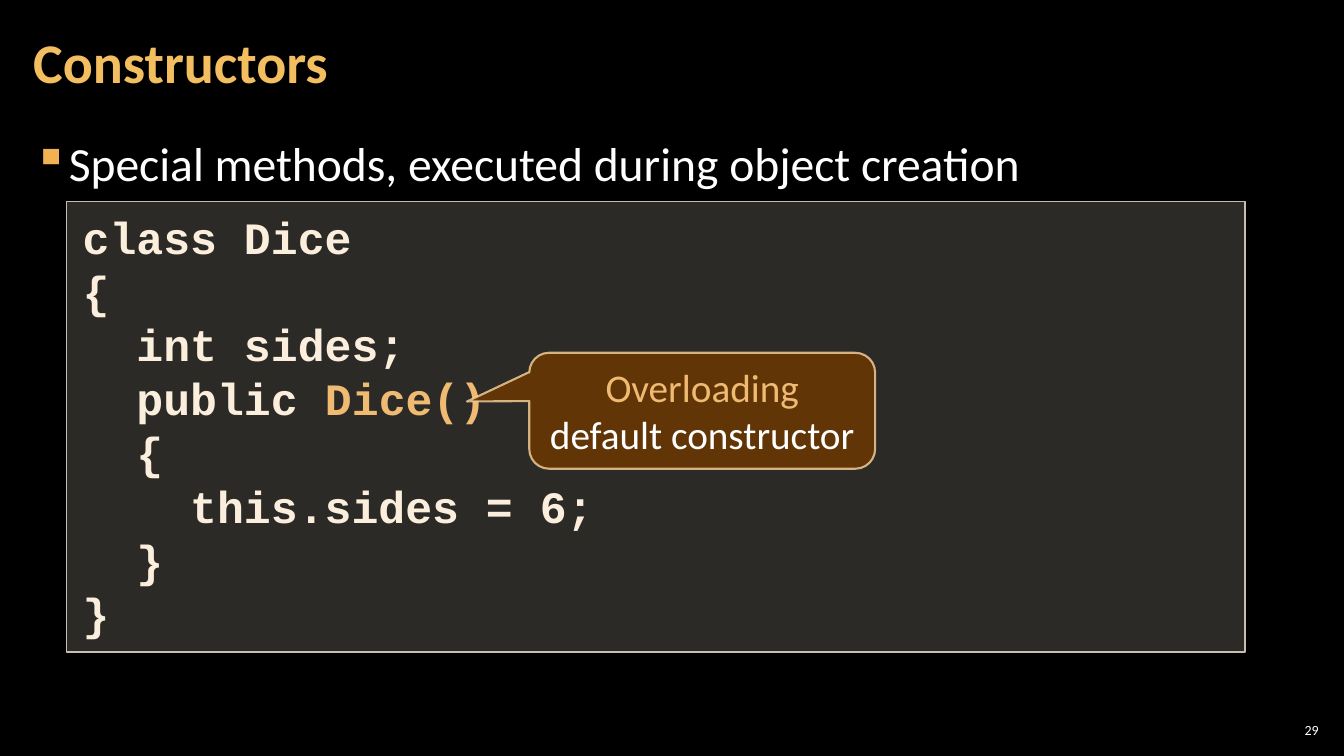
from lxml import etree
from pptx import Presentation
from pptx.dml.color import RGBColor
from pptx.enum.shapes import MSO_SHAPE
from pptx.enum.text import MSO_ANCHOR, PP_ALIGN
from pptx.oxml.ns import qn
from pptx.util import Inches, Pt

TOP, MIDDLE = MSO_ANCHOR.TOP, MSO_ANCHOR.MIDDLE
LEFT, CENTER, RIGHT = PP_ALIGN.LEFT, PP_ALIGN.CENTER, PP_ALIGN.RIGHT
RECT, CALLOUT = MSO_SHAPE.RECTANGLE, MSO_SHAPE.ROUNDED_RECTANGULAR_CALLOUT

COLORS = {
    "background": "000000", "title": "F3BE60", "text": "FFFFFF", "bullet": "F2B254",
    "code": "FBEEDC", "accent": "EFBB72", "code_fill": "D9D5C7", "code_line": "C7BFAC",
    "callout_fill": "663606", "callout_line": "F8D49E",
}

# Content: a paragraph is a list of (text, color) runs
TITLE = [[("Constructors", "title")]]
BULLET = [[("Special methods, executed during object creation", "text")]]
CODE = [
    [("class Dice", "code")],
    [("{", "code")],
    [("  int sides;", "code")],
    [("  public ", "code"), ("Dice()", "accent")],
    [("  {", "code")],
    [("    this.sides = 6;", "code")],
    [("  }", "code")],
    [("}", "code")],
]
NOTE = [[("Overloading", "accent"), (" default constructor", "text")]]
PAGE = [[("29", "text")]]


def rgb(name):
    return RGBColor.from_string(COLORS[name])


def write(sp, paragraphs, size, font="Calibri", bold=False, align=LEFT, anchor=TOP,
          insets=(0.12, 0.04), line_spacing=None, space=0):
    tf = sp.text_frame
    tf.word_wrap = True
    tf.vertical_anchor = anchor
    tf.margin_left = tf.margin_right = Inches(insets[0])
    tf.margin_top = tf.margin_bottom = Inches(insets[1])
    for i, runs in enumerate(paragraphs):
        p = tf.paragraphs[0] if i == 0 else tf.add_paragraph()
        p.alignment = align
        p.line_spacing = line_spacing
        p.space_before = p.space_after = Pt(space)
        for text, color in runs:
            r = p.add_run()
            r.text = text
            r.font.name, r.font.size, r.font.bold = font, Pt(size), bold
            r.font.color.rgb = rgb(color)
    return tf


def set_alpha(fill, percent):
    """Set the opacity of a solid fill that is already coloured."""
    color = fill._xPr.find(qn("a:solidFill"))[0]
    etree.SubElement(color, qn("a:alpha"), val=str(percent * 1000))


def add_box(s, kind, box, fill, fill_alpha, line, line_width, line_alpha=100):
    sp = s.shapes.add_shape(kind, *map(Inches, box))
    sp.shadow.inherit = False
    sp.fill.solid()
    sp.fill.fore_color.rgb = rgb(fill)
    set_alpha(sp.fill, fill_alpha)
    sp.line.color.rgb = rgb(line)
    sp.line.width = Pt(line_width)
    set_alpha(sp.line.fill, line_alpha)
    return sp


def add_text(s, box, paragraphs, size, **style):
    sp = s.shapes.add_textbox(*map(Inches, box))
    return write(sp, paragraphs, size, **style)


def add_bullet(p, char, color, indent):
    pPr = p._p.get_or_add_pPr()
    pPr.set("marL", str(Inches(indent)))
    pPr.set("indent", str(-Inches(indent)))
    clr = etree.SubElement(pPr, qn("a:buClr"))
    etree.SubElement(clr, qn("a:srgbClr"), val=COLORS[color])
    etree.SubElement(pPr, qn("a:buChar"), char=char)


prs = Presentation()
prs.slide_width, prs.slide_height = Inches(13.33), Inches(7.5)
s = prs.slides.add_slide(prs.slide_layouts[6])
s.background.fill.solid()
s.background.fill.fore_color.rgb = rgb("background")

# Page number, bullet and title
add_text(s, (12.65, 7.14, 0.47, 0.21), PAGE, 10, align=RIGHT, anchor=MIDDLE,
         insets=(0.04, 0.04))
tf = add_text(s, (0.21, 1.26, 12.91, 6.09), BULLET, 34, line_spacing=1.05, space=6)
add_bullet(tf.paragraphs[0], "▪", "bullet", 0.33)
add_text(s, (0.21, 0.04, 10.47, 1.21), TITLE, 40, bold=True, anchor=MIDDLE,
         line_spacing=0.9)

# Code panel
panel = add_box(s, RECT, (0.66, 2, 11.69, 4.47), "code_fill", 20, "code_line", 1)
write(panel, CODE, 32, font="Courier New", bold=True, insets=(0.16, 0.08))

# Callout pointing at the constructor
callout = add_box(s, CALLOUT, (5.25, 3.5, 3.43, 1.15), "callout_fill", 95,
                  "callout_line", 1.5, line_alpha=80)
for i, value in enumerate((-0.68, -0.08, 0.17)):
    callout.adjustments[i] = value
write(callout, NOTE, 28, align=CENTER, anchor=MIDDLE, insets=(0.1, 0.05))

prs.save("out.pptx")
